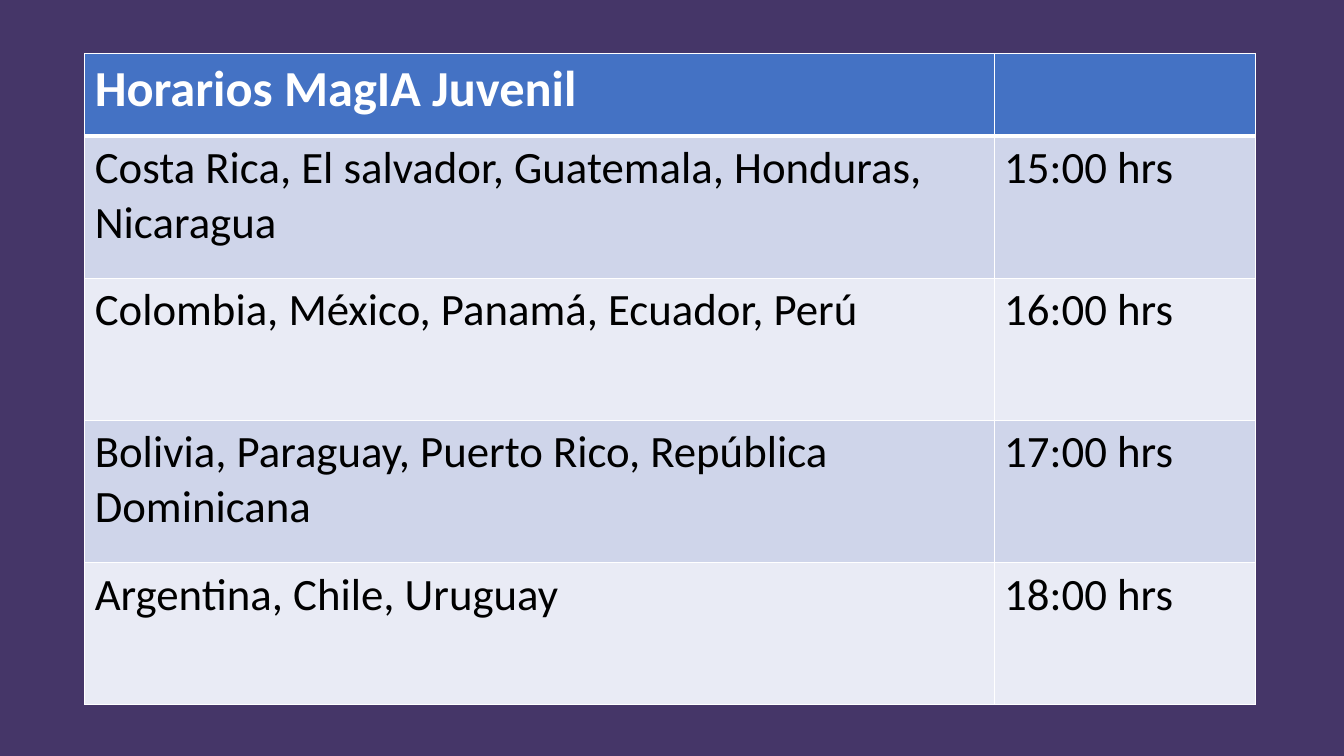
import dataclasses

import lxml.etree
import pptx
import pptx.dml.color
import pptx.oxml.ns
import pptx.util

Inches = pptx.util.Inches
WHITE = "FFFFFF"
BLACK = "000000"
BLUE = "4472C4"
BANDS = ("CFD5EA", "E9EBF5")


@dataclasses.dataclass
class Zone:
    lands: str
    hour: str


ZONES = [
    Zone("Costa Rica, El salvador, Guatemala, Honduras, Nicaragua", "15:00 hrs"),
    Zone("Colombia, México, Panamá, Ecuador, Perú", "16:00 hrs"),
    Zone("Bolivia, Paraguay, Puerto Rico, República Dominicana", "17:00 hrs"),
    Zone("Argentina, Chile, Uruguay", "18:00 hrs"),
]


def paint(fill, tone: str) -> None:
    fill.solid()
    fill.fore_color.rgb = pptx.dml.color.RGBColor.from_string(tone)


def write(cell, text: str, *, size: int = 32, tone: str = BLACK, bold: bool = False) -> None:
    run = cell.text_frame.paragraphs[0].add_run()
    run.text = text
    run.font.name = "Calibri"
    run.font.size = pptx.util.Pt(size)
    run.font.bold = bold
    paint(run.font.fill, tone)


def border(cell, top: int, base: int) -> None:
    """Draw white edges; widths are in points."""
    name = pptx.oxml.ns.qn
    props = cell._tc.get_or_add_tcPr()
    for side, width in (("L", 1), ("R", 1), ("T", top), ("B", base)):
        line = lxml.etree.SubElement(props, name(f"a:ln{side}"), w=str(pptx.util.Pt(width)))
        fill = lxml.etree.SubElement(line, name("a:solidFill"))
        lxml.etree.SubElement(fill, name("a:srgbClr"), val=WHITE)


def main() -> None:
    deck = pptx.Presentation()
    deck.slide_width, deck.slide_height = Inches(13.33), Inches(7.5)
    slide = deck.slides.add_slide(deck.slide_layouts[6])
    paint(slide.background.fill, "453668")

    # Table grid
    table = slide.shapes.add_table(
        len(ZONES) + 1, 2, Inches(0.84), Inches(0.53), Inches(11.61), Inches(6.46)
    ).table
    for col, width in zip(table.columns, (9.02, 2.59)):
        col.width = Inches(width)
    for index, row in enumerate(table.rows):
        row.height = Inches(1.41 if index else 0.82)
        for cell in row.cells:
            border(cell, top=3 if index == 1 else 1, base=1 if index else 3)
            paint(cell.fill, BANDS[(index - 1) % 2] if index else BLUE)

    # Header and time zones
    write(table.cell(0, 0), "Horarios MagIA Juvenil", size=36, tone=WHITE, bold=True)
    for index, zone in enumerate(ZONES, start=1):
        write(table.cell(index, 0), zone.lands)
        write(table.cell(index, 1), zone.hour)

    deck.save("out.pptx")


if __name__ == "__main__":
    main()
